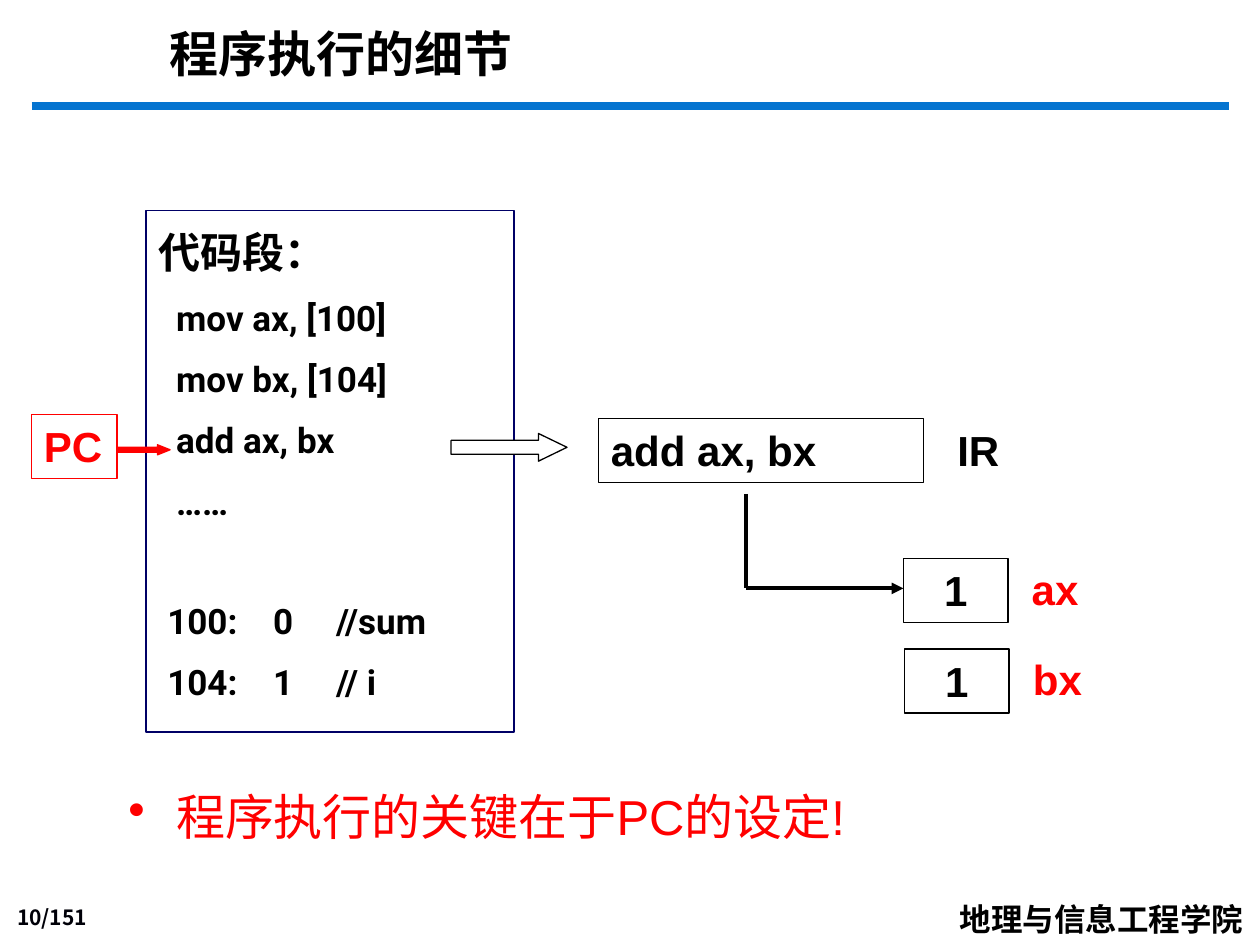
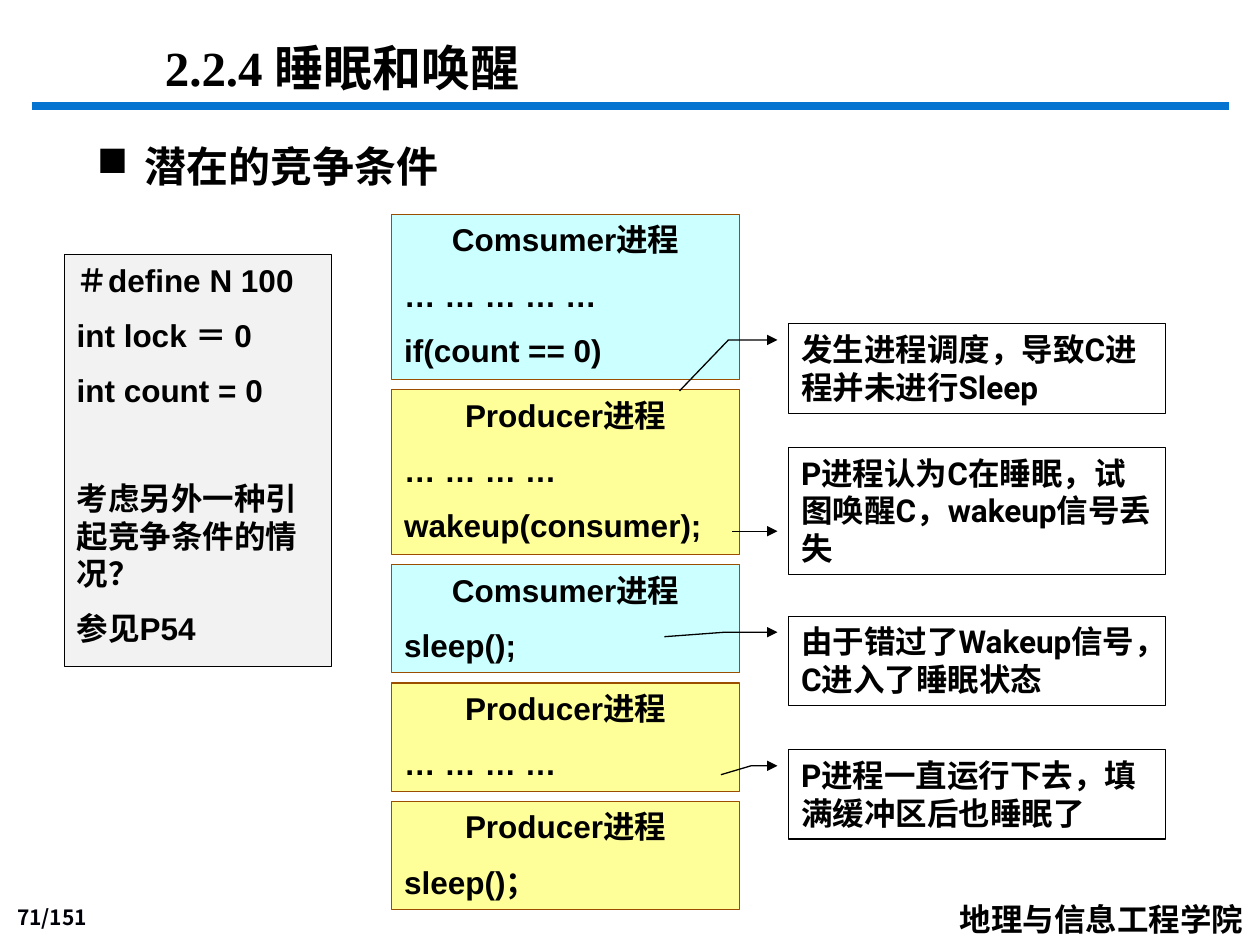
from pptx import Presentation
from pptx.dml.color import RGBColor
from pptx.enum.shapes import MSO_CONNECTOR as Conn, MSO_SHAPE as Geo
from pptx.enum.text import MSO_ANCHOR as Anchor, PP_ALIGN as Align
from pptx.oxml.ns import qn
from pptx.util import Inches, Pt
from lxml.etree import SubElement as Sub

BLACK = RGBColor(0x00, 0x00, 0x00)
WHITE = RGBColor(0xFF, 0xFF, 0xFF)
RED = RGBColor(0xFF, 0x00, 0x00)
BLUE = RGBColor(0x05, 0x74, 0xD0)
NAVY = RGBColor(0x00, 0x00, 0x66)
INK = RGBColor(0x00, 0x00, 0x08)
BROWN = RGBColor(0x9C, 0x4E, 0x00)
CYAN = RGBColor(0xCC, 0xFF, 0xFF)
YELLOW = RGBColor(0xFF, 0xFF, 0x99)
GREY = RGBColor(0xF2, 0xF2, 0xF2)

WIDE, HIGH = Inches(10), Inches(7.5)
CELL = WIDE / 100
HAN = "Noto Sans CJK SC"
GAP = 0.55


def grid(*cells):
    """Turn cells of the 100 by 75 grid into lengths."""
    return [round(cell * CELL) for cell in cells]


def style(para, size=24, color=BLACK, face="Arial", bold=True, han=HAN):
    """Set the font of a paragraph, for Latin and Chinese."""
    font = para.font
    font.size, font.bold, font.name = Pt(size), bold, face
    font.color.rgb = color
    props = para._p.pPr.find(qn("a:defRPr"))
    Sub(props, qn("a:ea")).set("typeface", han)


def write(shape, lines, align=Align.LEFT, wrap=True, **look):
    """Fill a shape with one paragraph per line and return them."""
    frame = shape.text_frame
    frame.word_wrap, frame.vertical_anchor = wrap, Anchor.TOP
    frame.text = "\n".join(lines)
    for rank, para in enumerate(frame.paragraphs):
        para.alignment = align
        if rank:
            para.space_before = Pt(look.get("size", 24) * GAP)
        style(para, **look)
    return frame.paragraphs


def label(slide, spot, *lines, **look):
    """Add a text box and return its paragraphs."""
    return write(slide.shapes.add_textbox(*grid(*spot)), lines, **look)


def block(slide, spot, fill=None, edge=BLACK, geo=Geo.RECTANGLE, adj=()):
    """Add a thinly outlined shape."""
    shape = slide.shapes.add_shape(geo, *grid(*spot))
    shape.shadow.inherit = False
    if fill is None:
        shape.fill.background()
    else:
        shape.fill.solid()
        shape.fill.fore_color.rgb = fill
    shape.line.color.rgb, shape.line.width = edge, Pt(0.75)
    for rank, share in enumerate(adj):
        shape.adjustments[rank] = share
    return shape


def tip(line, end):
    """Put a triangle on one end of a line."""
    Sub(line._get_or_add_ln(), qn(f"a:{end}")).set("type", "triangle")


def rule(slide, start, stop, width, color=BLACK):
    """Draw a straight line."""
    line = slide.shapes.add_connector(Conn.STRAIGHT, *grid(*start, *stop))
    line.line.color.rgb, line.line.width = color, Pt(width)
    Sub(line._element.spPr, qn("a:effectLst"))
    return line


def bullet(para, sign):
    """Give a paragraph a hanging bullet."""
    props = para._p.get_or_add_pPr()
    props.set("marL", str(Inches(0.38)))
    props.set("indent", str(-Inches(0.38)))
    mark = props.makeelement(qn("a:buChar"), {"char": sign})
    props.find(qn("a:defRPr")).addprevious(mark)


def indent(para, left, *stops):
    """Set the left margin and the tab stops of a paragraph."""
    props = para._p.get_or_add_pPr()
    props.set("marL", str(Inches(left)))
    if stops:
        tabs = props.makeelement(qn("a:tabLst"), {})
        props.find(qn("a:defRPr")).addprevious(tabs)
        for stop in stops:
            tab = Sub(tabs, qn("a:tab"))
            tab.set("pos", str(Inches(stop)))
            tab.set("algn", "l")


def start(deck, page):
    """Add a blank slide with the band and the footers."""
    slide = deck.slides.add_slide(deck.slide_layouts[6])
    rule(slide, (2.5, 8.4), (97.5, 8.4), 4.5, BLUE)
    foot = slide.shapes.add_textbox(*grid(0, 71.4, 7.9, 2.9))
    write(foot, [f"{page}/151"], Align.RIGHT, size=12, color=INK,
          face="Noto Sans CJK JP", han="Noto Sans CJK JP")
    foot.text_frame.vertical_anchor = Anchor.BOTTOM
    label(slide, (75.2, 70.9, 24.7, 4), "地理与信息工程学院",
          wrap=False, size=18, face=HAN)
    return slide


def code(slide):
    """Draw the code segment with its data cells."""
    block(slide, (11.6, 16.7, 29.2, 41.4), WHITE, NAVY)
    head, *rows = label(
        slide, (11.6, 17.5, 35, 40), "代码段：", "mov ax, [100]",
        "mov bx, [104]", "add ax, bx", "……", "100:\t0\t//sum",
        "104:\t1\t// i", size=20, face="Roboto")
    head.font.size, head.font.name = Pt(24), "Arial"
    for row in rows[:4]:
        indent(row, 0.14)
    for row in rows[4:]:
        indent(row, 0.07, 0.84, 1.34)
    rows[4].space_before = Pt(44)


def run(deck):
    """Build the slide on how a program runs."""
    slide = start(deck, 10)
    label(slide, (12.5, 1.4, 64.7, 6.1), "程序执行的细节", size=28)
    code(slide)
    block(slide, (35.8, 34.4, 9.2, 2.2), WHITE, geo=Geo.RIGHT_ARROW,
          adj=(0.5, 1.03))
    write(block(slide, (2.5, 32.9, 6.8, 5.1), edge=RED), ["PC"],
          wrap=False, color=RED)
    block(slide, (9.3, 35.3, 4.2, 0.8), RED, RED, Geo.RIGHT_ARROW, (0.5, 1.25))
    write(block(slide, (47.5, 33.2, 25.8, 5.1)), ["add ax, bx"])
    label(slide, (75, 33.2, 10, 5), "IR")
    rule(slide, (59.2, 39.2), (59.2, 46.7), 2.25)
    tip(rule(slide, (59.2, 46.7), (71.7, 46.7), 2.25).line, "tailEnd")
    for name, left, top in (("ax", 71.7, 44.3), ("bx", 71.8, 51.5)):
        write(block(slide, (left, top, 8.3, 5.1), WHITE), ["1"], Align.CENTER)
        label(slide, (left + 9.2, top - 0.1, 10, 5), name, color=RED)
    note, = label(slide, (9.2, 60.5, 86.6, 9.5), "程序执行的关键在于PC的设定!",
                  size=28, color=RED, bold=False)
    note.line_spacing = 1.3
    bullet(note, "•")


def step(slide, top, high, who, *acts):
    """Draw one turn of a process."""
    fill = CYAN if who == "Comsumer" else YELLOW
    box = block(slide, (31.1, top, 27.6, high), fill, BROWN)
    write(box, [f"{who}进程", *acts], size=18)[0].alignment = Align.CENTER


def remark(slide, top, high, text, row, bend, drop, end):
    """Draw a callout whose line runs back to a process."""
    box = block(slide, (62.6, top, 29.9, high), geo=Geo.LINE_CALLOUT_2,
                adj=(row, -0.03, row, bend, drop, end))
    tip(box.line, "headEnd")
    write(box, [text], size=18, face="Roboto")


def sleep(deck):
    """Build the slide on sleep and wakeup."""
    slide = start(deck, 71)
    label(slide, (12.1, 2.5, 79.5, 5.7), "2.2.4 睡眠和唤醒", size=28,
          face="Times New Roman")
    topic, = label(slide, (6.7, 10.7, 77.2, 5), "潜在的竞争条件")
    bullet(topic, "■")
    rows = write(block(slide, (5.1, 20.2, 21.2, 32.7), GREY),
                 ["＃define N 100", "int lock ＝ 0", "int count = 0",
                  "考虑另外一种引起竞争条件的情况？", "参见P54"], size=18)
    rows[3].space_before = Pt(40)
    steps = (
        (13.1, "Comsumer", "… … … … …", "if(count == 0)"),
        (13.1, "Producer", "… … … …", "wakeup(consumer);"),
        (8.6, "Comsumer", "sleep();"),
        (8.6, "Producer", "… … … …"),
        (8.6, "Producer", "sleep()；"),
    )
    top = 17
    for high, *words in steps:
        step(slide, top, high, *words)
        top += high + 0.8
    remark(slide, 25.7, 7.1, "发生进程调度，导致C进程并未进行Sleep",
           0.18, -0.16, 0.75, -0.29)
    remark(slide, 35.5, 10.1, "P进程认为C在睡眠，试图唤醒C，wakeup信号丢失",
           0.66, -0.09, 0.66, -0.15)
    remark(slide, 48.9, 7.1, "由于错过了Wakeup信号，C进入了睡眠状态",
           0.18, -0.17, 0.23, -0.33)
    remark(slide, 59.5, 7.1, "P进程一直运行下去，填满缓冲区后也睡眠了",
           0.18, -0.1, 0.28, -0.18)


def main():
    """Build and save the deck."""
    deck = Presentation()
    deck.slide_width, deck.slide_height = WIDE, HIGH
    run(deck)
    sleep(deck)
    deck.save("out.pptx")


if __name__ == "__main__":
    main()
